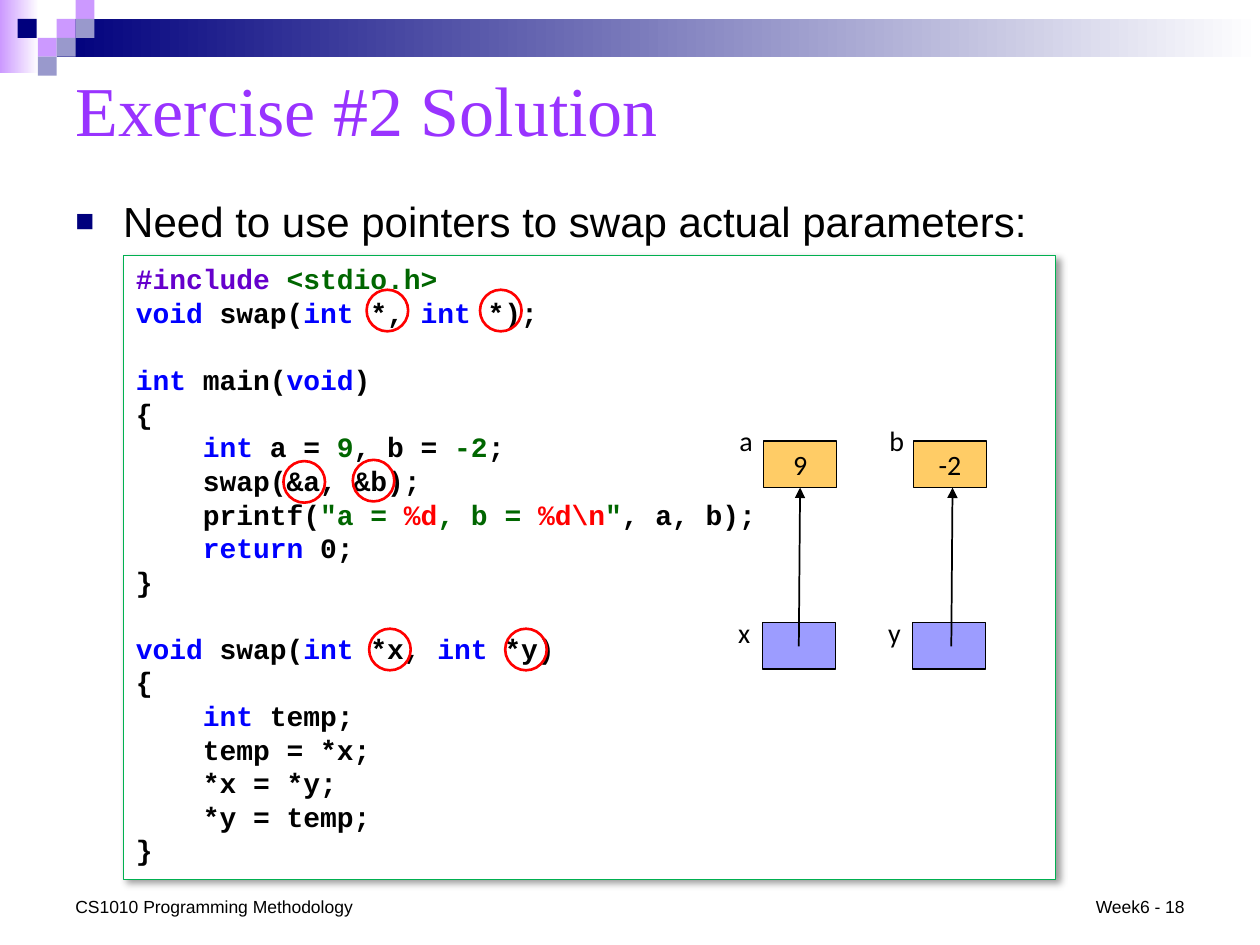
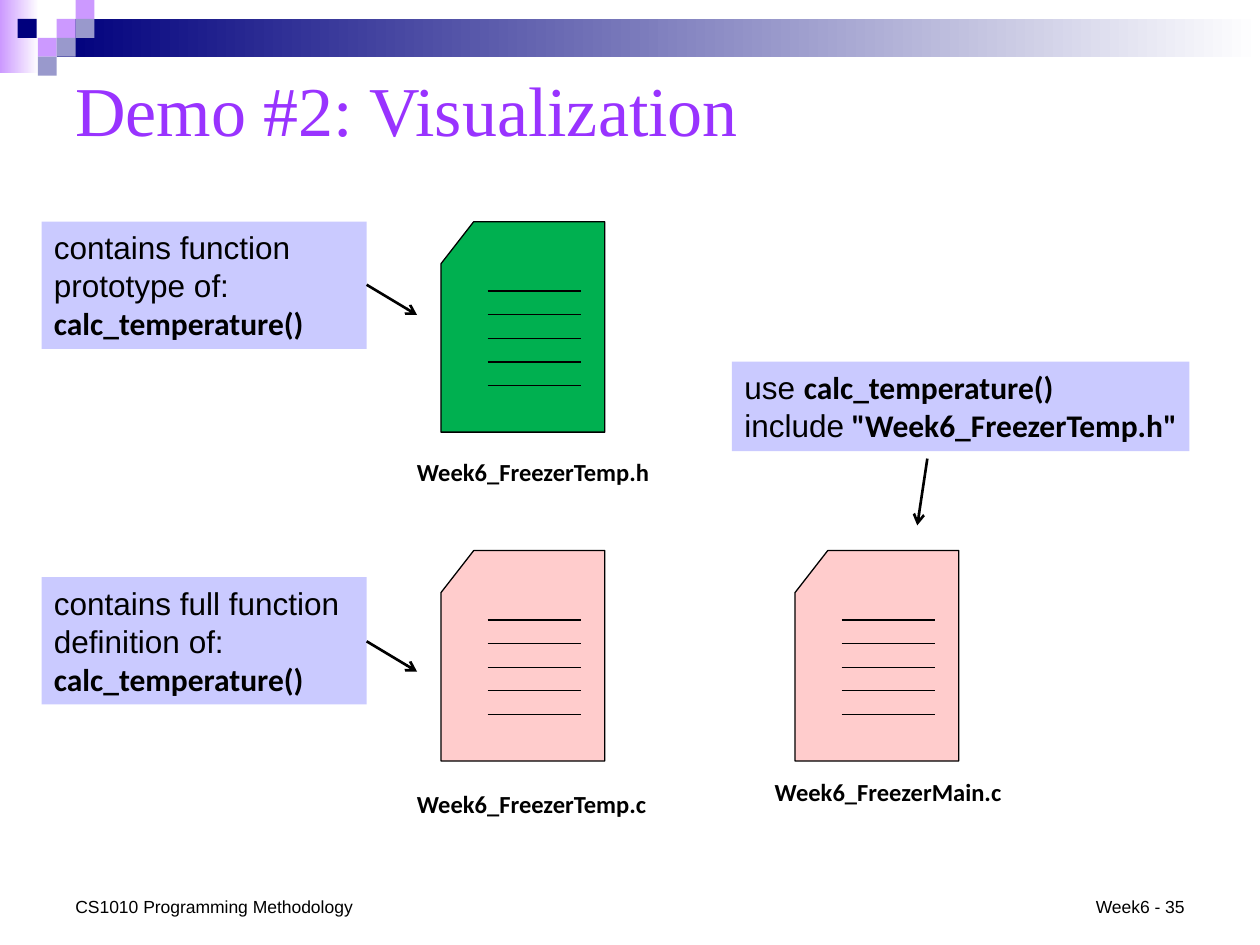
"""Build two programming lecture slides: a swap solution and a file diagram."""
from lxml.etree import SubElement
from pptx import Presentation
from pptx.dml.color import RGBColor
from pptx.enum.shapes import MSO_CONNECTOR, MSO_SHAPE
from pptx.enum.text import MSO_ANCHOR, PP_ALIGN
from pptx.oxml.ns import qn
from pptx.util import Inches, Pt

BLACK, WHITE, NAVY = "000000", "FFFFFF", "00007D"
LILAC, STEEL, PURPLE = "CC99FF", "9999CC", "9933FF"
RED, GREEN, PALE, PINK = "FF0000", "00B050", "CACAFF", "FFCCCC"
WORD, VALUE, MACRO = "0000FF", "006600", "6600CC"
SANS, SERIF, MONO, HUMAN = "Arial", "Times New Roman", "Courier New", "Calibri"

FADES = [((0, 0, 0.31, 0.58), LILAC), ((0.45, 0.15, 9.55, 0.3), NAVY)]
TILES = [
    (0.45, 0.15, LILAC), (0.6, 0, LILAC), (0.6, 0.15, STEEL),
    (0.3, 0.3, LILAC), (0.14, 0.15, NAVY), (0.45, 0.3, STEEL), (0.3, 0.45, STEEL),
]
COURSE = "CS1010 Programming Methodology"

POINT = "Need to use pointers to swap actual parameters:"
PITCH = 19.2
CODE = [
    [("#include ", MACRO), ("<stdio.h>", VALUE)],
    [("void ", WORD), ("swap(", BLACK), ("int ", WORD), ("*, ", BLACK),
     ("int ", WORD), ("*);", BLACK)],
    [],
    [("int", WORD), (" main(", BLACK), ("void", WORD), (")", BLACK)],
    [("{", BLACK)],
    [("    ", BLACK), ("int", WORD), (" a = ", BLACK), ("9", VALUE),
     (", b = ", BLACK), ("-2", VALUE), (";", BLACK)],
    [("    swap(&a, &b);", BLACK)],
    [("    printf(", BLACK), ("\"a = ", VALUE), ("%d", RED), (", b = ", VALUE),
     ("%d\\n", RED), ("\"", VALUE), (", a, b);", BLACK)],
    [("    ", BLACK), ("return", WORD), (" 0;", BLACK)],
    [("}", BLACK)],
    [],
    [("void", WORD), (" swap(", BLACK), ("int ", WORD), ("*x, ", BLACK),
     ("int ", WORD), ("*y)", BLACK)],
    [("{", BLACK)],
    [("    ", BLACK), ("int", WORD), (" temp;", BLACK)],
    [("    temp = *x;", BLACK)],
    [("    *x = *y;", BLACK)],
    [("    *y = temp;", BLACK)],
    [("}", BLACK)],
]
RINGS = [(2.93, 4.99), (4.01, 4.99), (2.25, 3.66), (2.91, 2.3), (3.81, 2.3), (2.8, 3.65)]
CELLS = [
    ("a", "9", 6.06, 3.5, 3.31, "FFCC66"), ("b", "-2", 7.25, 3.5, 3.31, "FFCC66"),
    ("x", "", 6.05, 4.94, 4.84, "9C9CFF"), ("y", "", 7.24, 4.94, 4.84, "9C9CFF"),
]
LINKS = [((6.34, 5.13), (6.35, 3.87)), ((7.55, 5.13), (7.56, 3.87))]

FILES = [
    ("Week6_FreezerTemp.h", 3.5, 1.76, GREEN, (3.21, 3.58, 2.06, 0.34)),
    ("Week6_FreezerMain.c", 6.31, 4.37, PINK, (6.05, 6.12, 2.02, 0.34)),
    ("Week6_FreezerTemp.c", 3.5, 4.37, PINK, (3.21, 6.21, 2.04, 0.34)),
]
CALL = ("calc_temperature()", BLACK, HUMAN, True)
NOTES = [
    ((5.81, 2.87, 3.63, 0.71), (7.36, 3.64), (7.28, 4.17),
     [[("use ", BLACK, SANS), CALL],
      [("include", BLACK, SANS), (" \"Week6_FreezerTemp.h\"", BLACK, HUMAN, True)]]),
    ((0.33, 1.76, 2.58, 1.01), (2.91, 2.26), (3.31, 2.5),
     [[("contains function prototype of:", BLACK, SANS)], [CALL]]),
    ((0.33, 4.58, 2.58, 1.01), (2.91, 5.09), (3.31, 5.33),
     [[("contains full function definition of:", BLACK, SANS)], [CALL]]),
]


def tint(code):
    return RGBColor.from_string(code)


def draw(slide, kind, at, fill=None, line=None, width=0.75):
    shape = slide.shapes.add_shape(kind, *map(Inches, at))
    shape.shadow.inherit = False
    if fill:
        shape.fill.solid()
        shape.fill.fore_color.rgb = tint(fill)
    else:
        shape.fill.background()
    if line:
        shape.line.color.rgb = tint(line)
        shape.line.width = Pt(width)
    else:
        shape.line.fill.background()
    return shape


def write(shape, paras, size, align=PP_ALIGN.LEFT, anchor=MSO_ANCHOR.TOP,
          wrap=True, pitch=None):
    frame = shape.text_frame
    frame.word_wrap = wrap
    frame.vertical_anchor = anchor
    para, gap = frame.paragraphs[0], 0
    for runs in paras:
        if not runs:
            gap += pitch
            continue
        if para.runs:
            para = frame.add_paragraph()
        para.alignment = align
        if pitch:
            para.line_spacing = Pt(pitch)
        if gap:
            para.space_before = Pt(gap)
            gap = 0
        for text, color, face, *bold in runs:
            run = para.add_run()
            run.text = text
            run.font.size = Pt(size)
            run.font.name = face
            run.font.bold = bool(bold)
            run.font.color.rgb = tint(color)
    return frame


def label(slide, at, run, size, **style):
    box = slide.shapes.add_textbox(*map(Inches, at))
    return write(box, [[run]], size, **style)


def join(slide, start, end, width=0.75, head=None):
    wire = slide.shapes.add_connector(
        MSO_CONNECTOR.STRAIGHT, *map(Inches, (*start, *end)))
    wire.line.color.rgb = tint(BLACK)
    wire.line.width = Pt(width)
    if head:
        SubElement(wire._element.spPr.find(qn("a:ln")), qn("a:tailEnd"), type=head)
    SubElement(wire._element.spPr, qn("a:effectLst"))


def shade(shape):
    glow = SubElement(
        shape._element.spPr.find(qn("a:effectLst")), qn("a:outerShdw"),
        blurRad=str(Pt(4)), dist=str(Pt(3)), dir="2700000", algn="tl", rotWithShape="0")
    color = SubElement(glow, qn("a:srgbClr"), val=BLACK)
    SubElement(color, qn("a:alpha"), val="40000")


def start(deck, title, page):
    slide = deck.slides.add_slide(deck.slide_layouts[6])
    for at, color in FADES:
        band = draw(slide, MSO_SHAPE.RECTANGLE, at)
        band.fill.gradient()
        band.fill.gradient_angle = 0
        for stop, hue in zip(band.fill.gradient_stops, (color, WHITE)):
            stop.color.rgb = tint(hue)
    for left, top, color in TILES:
        draw(slide, MSO_SHAPE.RECTANGLE, (left, top, 0.15, 0.15), color)
    label(slide, (0.5, 0.42, 9, 0.88), (title, PURPLE, SERIF), 40,
          anchor=MSO_ANCHOR.MIDDLE)
    label(slide, (0.5, 7.06, 2.42, 0.27), (COURSE, BLACK, SANS), 10,
          anchor=MSO_ANCHOR.BOTTOM)
    label(slide, (8.58, 7.06, 0.92, 0.27), (f"Week6 - {page}", BLACK, SANS), 10,
          align=PP_ALIGN.RIGHT, anchor=MSO_ANCHOR.BOTTOM, wrap=False)
    return slide


def bullet(para):
    props = para._p.get_or_add_pPr()
    props.set("marL", str(Inches(0.38)))
    props.set("indent", str(Inches(-0.38)))
    SubElement(SubElement(props, qn("a:buClr")), qn("a:srgbClr"), val=NAVY)
    SubElement(props, qn("a:buSzPct"), val="75000")
    SubElement(props, qn("a:buFont"), typeface=SANS)
    SubElement(props, qn("a:buChar"), char="■")


def swap(deck):
    slide = start(deck, "Exercise #2 Solution", 18)
    frame = label(slide, (0.5, 1.5, 9, 0.5), (POINT, BLACK, SANS), 24)
    bullet(frame.paragraphs[0])
    panel = draw(slide, MSO_SHAPE.RECTANGLE, (0.98, 2.03, 7.4, 4.95), WHITE, GREEN)
    shade(panel)
    lines = [[(text, color, MONO, True) for text, color in row] for row in CODE]
    write(panel, lines, 16, pitch=PITCH)
    for left, top in RINGS:
        draw(slide, MSO_SHAPE.OVAL, (left, top, 0.33, 0.33), None, RED, 1.5)
    for name, value, left, top, high, color in CELLS:
        label(slide, (left - 0.29, high, 0.37, 0.37), (name, BLACK, HUMAN), 16)
        cell = draw(slide, MSO_SHAPE.RECTANGLE, (left, top, 0.58, 0.37), color, BLACK)
        if value:
            write(cell, [[(value, BLACK, HUMAN)]], 16, align=PP_ALIGN.CENTER)
    for tail, tip in LINKS:
        join(slide, tail, tip, 1, "triangle")


def files(deck):
    slide = start(deck, "Demo #2: Visualization", 35)
    for name, left, top, color, at in FILES:
        draw(slide, MSO_SHAPE.FLOWCHART_CARD, (left, top, 1.3, 1.67), color, BLACK)
        for row in range(5):
            y = top + 0.55 + row * 0.75 / 4
            join(slide, (left + 0.37, y), (left + 1.11, y))
        label(slide, at, (name, BLACK, HUMAN, True), 14, wrap=False)
    for at, tail, tip, paras in NOTES:
        note = draw(slide, MSO_SHAPE.RECTANGLE, at, PALE)
        frame = write(note, paras, 18, pitch=21.75)
        frame.margin_right = Inches(0.04)
        join(slide, tail, tip, 1.5, "arrow")


def main():
    deck = Presentation()
    deck.slide_width, deck.slide_height = Inches(10), Inches(7.5)
    swap(deck)
    files(deck)
    deck.save("out.pptx")


if __name__ == "__main__":
    main()
